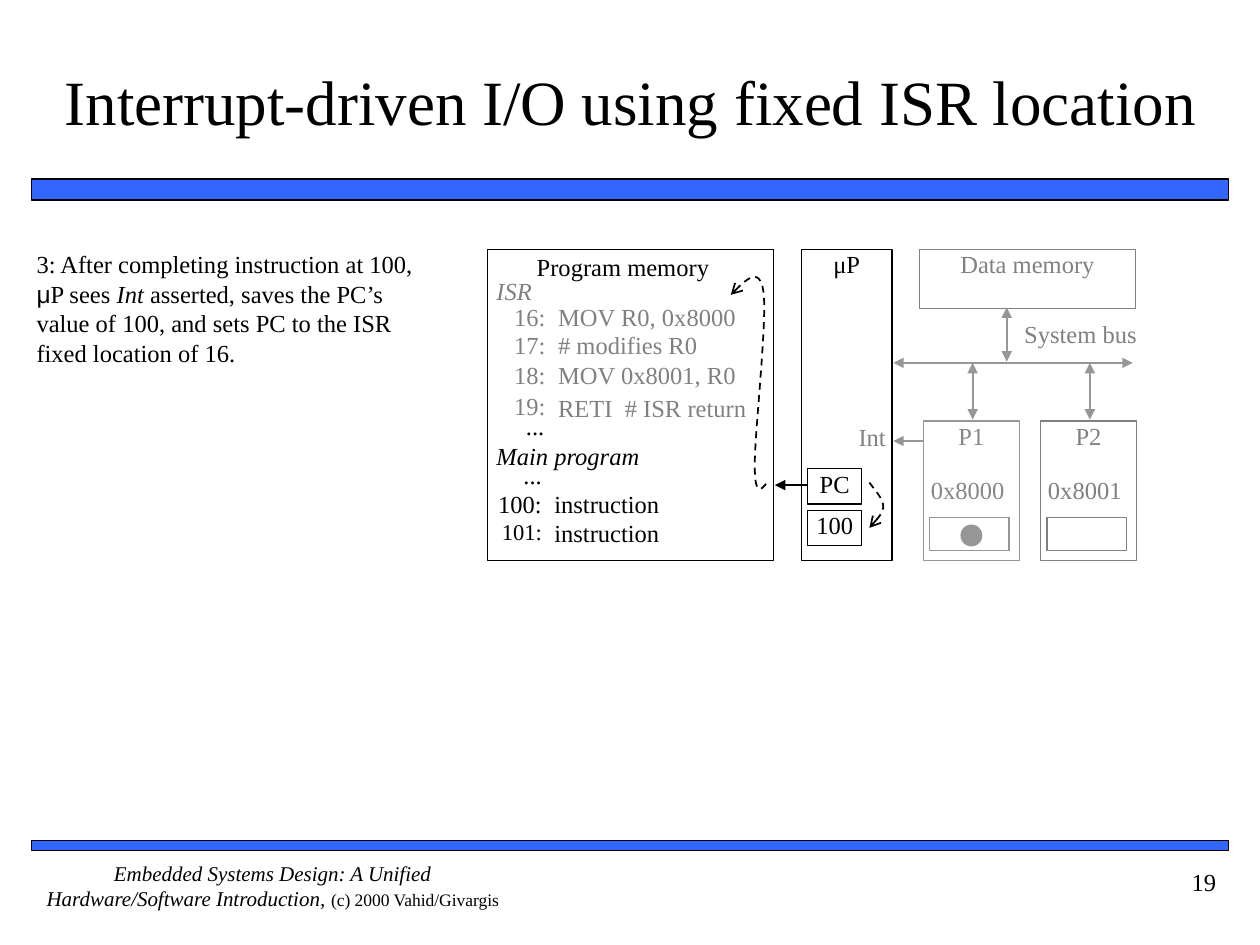
from lxml import etree
from pptx import Presentation
from pptx.dml.color import RGBColor
from pptx.enum.dml import MSO_LINE
from pptx.enum.shapes import MSO_CONNECTOR, MSO_SHAPE
from pptx.enum.text import MSO_ANCHOR, PP_ALIGN
from pptx.oxml.ns import qn
from pptx.util import Inches, Pt

LEFT, MID, RIGHT = PP_ALIGN.LEFT, PP_ALIGN.CENTER, PP_ALIGN.RIGHT
TOP, CENTER = MSO_ANCHOR.TOP, MSO_ANCHOR.MIDDLE
RECT, OVAL = MSO_SHAPE.RECTANGLE, MSO_SHAPE.OVAL
STRAIGHT, DASH = MSO_CONNECTOR.STRAIGHT, MSO_LINE.DASH
BLACK, WHITE, BLUE = "000000", "FFFFFF", "3366FF"
GRAY, PALE, DARK = "808080", "969696", "868686"
color = RGBColor.from_string

deck = Presentation()
deck.slide_width, deck.slide_height = Inches(10), Inches(7.5)
slide = deck.slides.add_slide(deck.slide_layouts[5])
shapes = slide.shapes


def write(shape, runs, ink=BLACK, align=LEFT, size=14, anchor=TOP, pad=(0, 0), **look):
    """Fill a shape with one paragraph; runs is a string or (text, font dict) pairs."""
    frame = shape.text_frame
    side, edge = map(Inches, pad)
    layout = {"word_wrap": True, "vertical_anchor": anchor, "margin_left": side,
              "margin_right": side, "margin_top": edge, "margin_bottom": edge}
    for key, value in layout.items():
        setattr(frame, key, value)
    para = frame.paragraphs[0]
    para.alignment = align
    for text, extra in [(runs, {})] if isinstance(runs, str) else runs:
        run = para.add_run()
        run.text = text
        run.font.color.rgb = color(ink)
        style = {"name": "Times New Roman", "size": Pt(size), **look, **extra}
        for key, value in style.items():
            setattr(run.font, key, value)
    return para


def stroke(shape, ink, width, ends, dash=None):
    """Style a line; ends maps headEnd and tailEnd to arrowhead types."""
    line = shape.line
    line.color.rgb = color(ink)
    line.width = Pt(width)
    if dash:
        line.dash_style = dash
    props = shape._element.spPr
    for tag, kind in ends.items():
        etree.SubElement(props.find(qn("a:ln")), qn(f"a:{tag}"), type=kind)
    etree.SubElement(props, qn("a:effectLst"))


# Title
title = shapes.title
title.left, title.top = Inches(0.42), Inches(0.17)
title.width, title.height = Inches(9.17), Inches(1.25)
write(title, "Interrupt-driven I/O using fixed ISR location", align=MID, size=36,
      anchor=CENTER, pad=(0, 0.05))

# Bars and boxes: kind, place, fill, edge, edge width, text, text colour
boxes = [
    (RECT, (0.25, 1.42, 9.5, 0.17), BLUE, BLACK, 1, "", BLACK),
    (RECT, (0.25, 6.67, 9.5, 0.08), BLUE, BLACK, 1, "", BLACK),
    (RECT, (6.36, 1.98, 0.72, 2.47), WHITE, BLACK, 0.75, "μP", BLACK),
    (RECT, (7.3, 1.98, 1.71, 0.47), WHITE, GRAY, 0.75, "Data memory", GRAY),
    (RECT, (3.87, 1.98, 2.27, 2.47), WHITE, BLACK, 0.75, "", BLACK),
    (RECT, (6.41, 3.72, 0.43, 0.28), WHITE, BLACK, 0.75, "PC", BLACK),
    (RECT, (6.41, 4.05, 0.43, 0.28), WHITE, BLACK, 0.75, "100", BLACK),
]
for x, name, edge, ink in [(7.33, "P1", PALE, DARK), (8.26, "P2", GRAY, GRAY)]:
    boxes += [(RECT, (x, 3.34, 0.76, 1.11), WHITE, edge, 0.75, name, ink),
              (RECT, (x + 0.05, 4.11, 0.63, 0.26), WHITE, edge, 0.75, "", ink)]
boxes.append((OVAL, (7.63, 4.17, 0.16, 0.16), PALE, PALE, 1, "", BLACK))
for kind, place, fill, edge, width, text, ink in boxes:
    box = shapes.add_shape(kind, *map(Inches, place))
    box.shadow.inherit = False
    box.fill.solid()
    box.fill.fore_color.rgb = color(fill)
    box.line.color.rgb = color(edge)
    box.line.width = Pt(width)
    if text:
        write(box, text, ink, MID)

# Labels: place, text, format
slant = {"italic": True}
note = [("3: After completing instruction at 100, ", {}), ("μ", {"name": "Arial"}),
        ("P sees ", {}), ("Int", slant),
        (" asserted, saves the PC’s value of 100, and sets PC to the ISR "
         "fixed location of 16.", {})]
credit = [("Embedded Systems Design: A Unified Hardware/Software Introduction, ", slant),
          ("(c) 2000 Vahid/Givargis", {"size": Pt(10)})]
labels = [
    ((0.29, 1.98, 3.14, 1.15), note, {}),
    ((0.25, 6.83, 3.83, 0.5), credit, {"align": MID, "size": 12}),
    ((4.26, 2, 1.56, 0.32), "Program memory", {}),
    ((3.94, 2.19, 0.49, 0.34), "ISR", {"ink": GRAY, **slant}),
    ((3.94, 3.5, 1.33, 0.33), "Main program", slant),
    ((4.03, 3.26, 0.29, 0.25), "...", {"align": RIGHT}),
    ((4.01, 3.65, 0.29, 0.25), "...", {"align": RIGHT}),
    ((8.07, 2.53, 1.01, 0.39), "System bus", {"ink": GRAY, "align": MID}),
    ((7.35, 3.77, 0.66, 0.3), "0x8000", {"ink": DARK, "align": MID}),
    ((8.29, 3.77, 0.64, 0.27), "0x8001", {"ink": GRAY, "align": MID}),
    ((6.71, 3.35, 0.32, 0.32), "Int", {"ink": GRAY, "align": RIGHT}),
]
# Code rows: right edge of number, tops of number and code, number, code, colour, size
for edge, top, low, num, code, ink, size in [
    (4.33, 2.4, 2.4, "16:", "MOV R0, 0x8000", GRAY, 14),
    (4.33, 2.62, 2.62, "17:", "# modifies R0", GRAY, 14),
    (4.33, 2.86, 2.86, "18:", "MOV 0x8001, R0", GRAY, 14),
    (4.33, 3.1, 3.12, "19:", "RETI  # ISR return", GRAY, 14),
    (4.3, 3.88, 3.88, "100:", "instruction", BLACK, 14),
    (4.3, 4.11, 4.11, "101:", "instruction", BLACK, 12.9),
]:
    labels += [((edge - 0.4, top, 0.4, 0.25), num,
                {"ink": ink, "align": RIGHT, "size": size}),
               ((edge + 0.1, low, 1.7, 0.25), code, {"ink": ink})]
for place, text, form in labels:
    write(shapes.add_textbox(*map(Inches, place)), text, **form)

page = shapes.add_textbox(*map(Inches, (8.75, 6.83, 1, 0.5)))
write(page, "19", align=RIGHT, pad=(0.1, 0.05)).space_before = Pt(8.8)

# Straight arrows
one = {"tailEnd": "triangle"}
both = {"headEnd": "triangle", **one}
for ends, ink, width, tips in [
    ((7.09, 2.88, 8.99, 2.88), PALE, 1.25, both),
    ((7.72, 2.88, 7.72, 3.33), PALE, 1.25, both),
    ((8.65, 2.88, 8.65, 3.33), PALE, 1.25, both),
    ((7.99, 2.44, 7.99, 2.87), PALE, 1.25, both),
    ((6.41, 3.85, 6.15, 3.85), BLACK, 1.25, one),
    ((7.33, 3.5, 7.09, 3.5), PALE, 0.75, one),
]:
    stroke(shapes.add_connector(STRAIGHT, *map(Inches, ends)), ink, width, tips)

# Dashed curves: start point, then cubic Bezier segments
STEPS = 12
for start, parts in [
    ((6.9, 3.83), [((6.95, 3.9), (7.01, 3.96), (7.01, 4.02)),
                   ((7.01, 4.08), (6.95, 4.13), (6.9, 4.19))]),
    ((6.08, 3.84), [((6.04, 3.89), (5.99, 3.94), (5.99, 3.69)),
                    ((5.99, 3.43), (6.09, 2.55), (6.06, 2.32)),
                    ((6.03, 2.1), (5.92, 2.22), (5.8, 2.34))]),
]:
    points, last = [], start
    for part in parts:
        for step in range(1, STEPS + 1):
            t = step / STEPS
            mix = ((1 - t) ** 3, 3 * t * (1 - t) ** 2, 3 * t * t * (1 - t), t ** 3)
            points.append([Inches(sum(m * v for m, v in zip(mix, axis)))
                           for axis in zip(last, *part)])
        last = part[-1]
    pen = shapes.build_freeform(*map(Inches, start))
    pen.add_line_segments(points, close=False)
    curve = pen.convert_to_shape()
    curve.fill.background()
    stroke(curve, BLACK, 1, {"tailEnd": "arrow"}, DASH)

deck.save("out.pptx")
